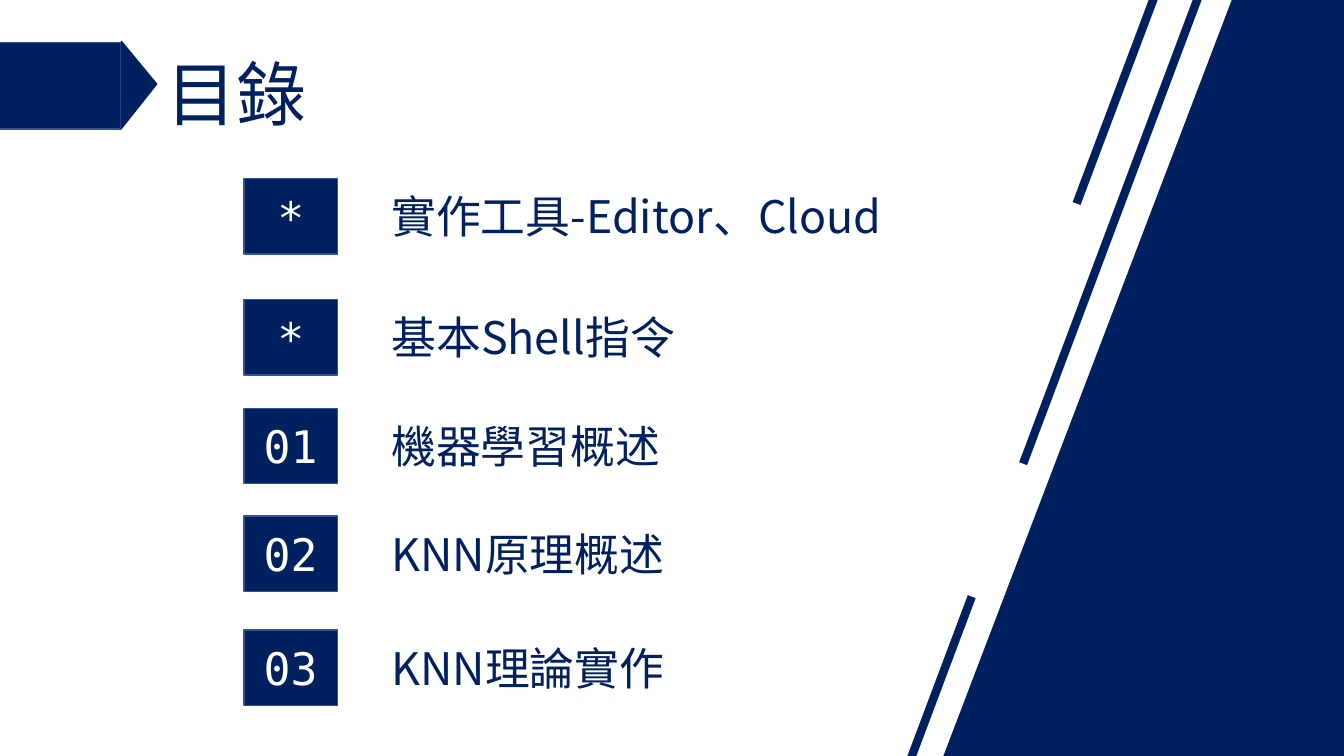
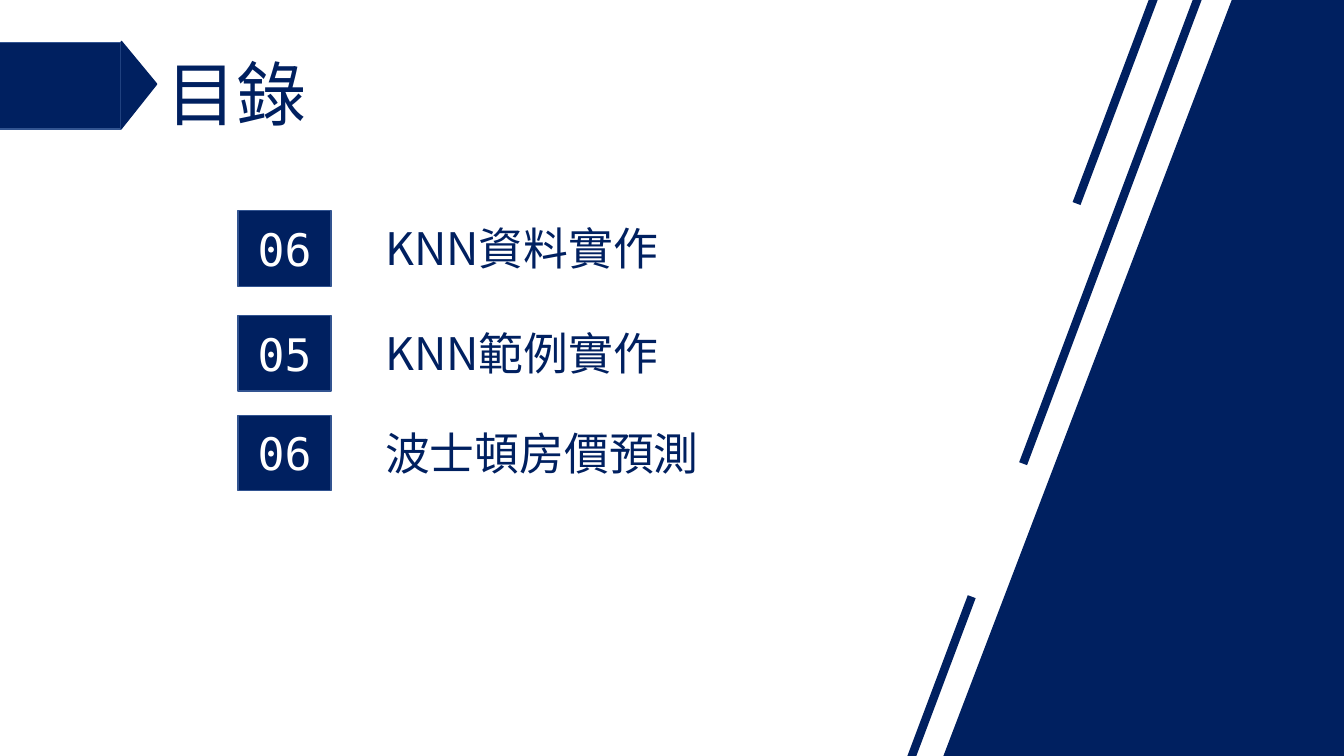
from lxml.etree import SubElement
from pptx import Presentation
from pptx.dml.color import RGBColor
from pptx.enum.shapes import MSO_CONNECTOR, MSO_SHAPE
from pptx.enum.text import MSO_ANCHOR, PP_ALIGN
from pptx.oxml.ns import qn
from pptx.util import Pt

# Content: left edge of the number boxes, then (top, number, topic) rows
TITLE = "目錄"
AGENDAS = [
    (174.4, [
        (127.5, "*", "實作工具-Editor、Cloud"),
        (213.8, "*", "基本Shell指令"),
        (291.6, "01", "機器學習概述"),
        (368.6, "02", "KNN原理概述"),
        (450, "03", "KNN理論實作"),
    ]),
    (170, [
        (150.5, "06", "KNN資料實作"),
        (225.4, "05", "KNN範例實作"),
        (296.6, "06", "波士頓房價預測"),
    ]),
]

# Shared style
WIDTH, HEIGHT = 960, 540
NAVY = RGBColor(0x00, 0x20, 0x60)
EDGE = RGBColor(0x32, 0x54, 0x91)
WHITE = RGBColor(0xFF, 0xFF, 0xFF)
MONO, SANS = "DejaVu Sans Mono", "Noto Sans CJK SC"
BOX_WIDTH, BOX_HEIGHT = 66.6, 54
TOPIC_OFFSET, TOPIC_DROP = 98, 3.8
TOPIC_WIDTH, TOPIC_HEIGHT = 456, 46
STRIPES = [
    ((870.5, -41), (730.8, 331.2)),
    ((694.1, 426.2), (622.1, 617.8)),
    ((841, -46), (769, 145.4)),
]
PANEL = [(880.4, 0), (WIDTH, 0), (WIDTH, HEIGHT), (674.4, HEIGHT)]


def paint(shape, line_color):
    shape.shadow.inherit = False
    shape.fill.solid()
    shape.fill.fore_color.rgb = NAVY
    shape.line.color.rgb = line_color
    shape.line.width = Pt(1)


def add_block(slide, kind, left, top, width, height, line_color=EDGE):
    shape = slide.shapes.add_shape(kind, Pt(left), Pt(top), Pt(width), Pt(height))
    paint(shape, line_color)
    return shape


def write(shape, text, size, font_name, color, anchor=MSO_ANCHOR.MIDDLE,
          align=PP_ALIGN.LEFT):
    frame = shape.text_frame
    frame.word_wrap = True
    frame.vertical_anchor = anchor
    paragraph = frame.paragraphs[0]
    paragraph.text = text
    paragraph.alignment = align
    font = paragraph.font
    font.size = Pt(size)
    font.color.rgb = color
    font.name = font_name
    # East Asian typeface
    properties = paragraph._p.pPr.find(qn("a:defRPr"))
    SubElement(properties, qn("a:ea")).set("typeface", SANS)
    return paragraph


def add_text(slide, left, top, width, height, *style, **options):
    box = slide.shapes.add_textbox(Pt(left), Pt(top), Pt(width), Pt(height))
    return write(box, *style, **options)


def add_frame(slide):
    # Title tag: bar with a pointed end
    add_block(slide, MSO_SHAPE.RECTANGLE, -6.5, 30.2, 92.9, 61.9)
    tip = add_block(slide, MSO_SHAPE.ISOSCELES_TRIANGLE, 68.2, 48.1, 62.2, 25.2, NAVY)
    tip.adjustments[0] = 0.49
    tip.rotation = 90

    # Slanted stripes and panel
    for start, end in STRIPES:
        stripe = slide.shapes.add_connector(
            MSO_CONNECTOR.STRAIGHT, *(Pt(value) for value in start + end))
        stripe.line.color.rgb = NAVY
        stripe.line.width = Pt(6)
        SubElement(stripe._element.spPr, qn("a:effectLst"))
    corners = [(Pt(x), Pt(y)) for x, y in PANEL]
    builder = slide.shapes.build_freeform(*corners[0])
    builder.add_line_segments(corners[1:], close=True)
    paint(builder.convert_to_shape(), NAVY)

    # Title
    title = add_text(slide, 111.6, 18, 771.8, 104.4, TITLE, 50, MONO, NAVY)
    title.line_spacing = 0.9


def add_agenda(slide, left, rows):
    for top, number, topic in rows:
        box = add_block(slide, MSO_SHAPE.RECTANGLE, left, top, BOX_WIDTH, BOX_HEIGHT)
        write(box, number, 32, MONO, WHITE, align=PP_ALIGN.CENTER)
        add_text(slide, left + TOPIC_OFFSET, top + TOPIC_DROP, TOPIC_WIDTH, TOPIC_HEIGHT,
                 topic, 32, SANS, NAVY, anchor=MSO_ANCHOR.TOP)


def main():
    presentation = Presentation()
    presentation.slide_width, presentation.slide_height = Pt(WIDTH), Pt(HEIGHT)
    for left, rows in AGENDAS:
        slide = presentation.slides.add_slide(presentation.slide_layouts[6])
        add_frame(slide)
        add_agenda(slide, left, rows)
    presentation.save("out.pptx")


if __name__ == "__main__":
    main()
